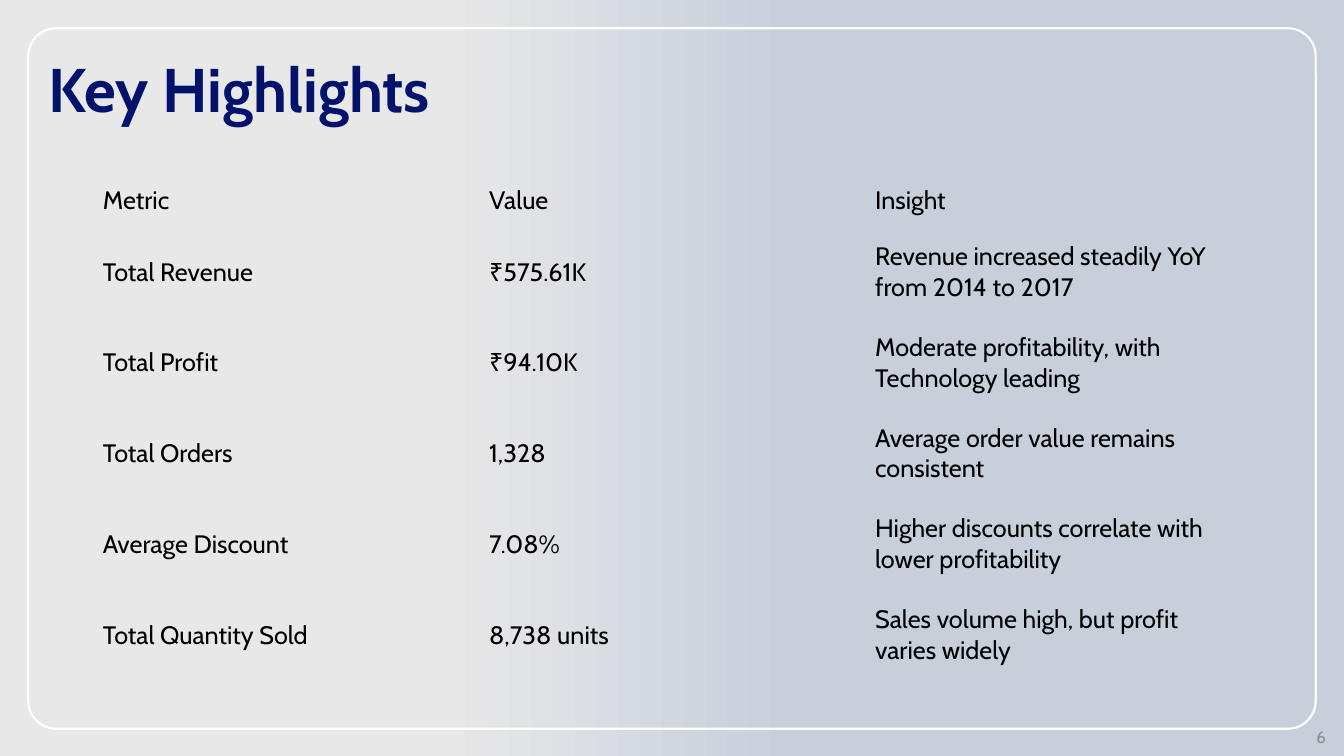
from dataclasses import dataclass

from pptx import Presentation
from pptx import util as u
from pptx.dml.color import RGBColor
from pptx.enum import shapes, text

PX = 9144  # 100 px to the inch
NO_STYLE = "{2D5ABB26-0587-4C30-8999-92F81FD0307C}"


@dataclass(frozen=True)
class Theme:
    font: str = "Cabin"
    bg_stops: tuple = ((0.33, "E8E8E8"), (0.59, "C7CFDB"))
    frame: str = "FFFFFF"
    title: tuple = (44, "03126A", True)
    body: tuple = (18, "000000", False)
    number: tuple = (12, "8C8C8C", False)


THEME = Theme()

METRICS = [
    ("Metric", "Value", "Insight"),
    ("Total Revenue", "₹575.61K", "Revenue increased steadily YoY from 2014 to 2017"),
    ("Total Profit", "₹94.10K", "Moderate profitability, with Technology leading"),
    ("Total Orders", "1,328", "Average order value remains consistent"),
    ("Average Discount", "7.08%", "Higher discounts correlate with lower profitability"),
    ("Total Quantity Sold", "8,738 units", "Sales volume high, but profit varies widely"),
]


def px(*lengths):
    return [u.Emu(n * PX) for n in lengths]


def write(tf, words, style, **para):
    p = tf.paragraphs[0]
    for name, value in para.items():
        setattr(p, name, value)
    r = p.add_run()
    r.text = words
    size, color, bold = style
    for name, value in dict(name=THEME.font, size=u.Pt(size), bold=bold).items():
        setattr(r.font, name, value)
    r.font.color.rgb = RGBColor.from_string(color)


def add_text(s, box, words, style, anchor, **para):
    tf = s.shapes.add_textbox(*px(*box)).text_frame
    for name, value in dict(word_wrap=True, vertical_anchor=anchor).items():
        setattr(tf, name, value)
    write(tf, words, style, **para)


def add_backdrop(s, box):
    # Left-to-right gradient
    fill = s.background.fill
    fill.gradient()
    fill.gradient_angle = 0
    for stop, (position, color) in zip(fill.gradient_stops, THEME.bg_stops):
        stop.position = position
        stop.color.rgb = RGBColor.from_string(color)
    # Rounded frame
    sp = s.shapes.add_shape(shapes.MSO_SHAPE.ROUNDED_RECTANGLE, *px(*box))
    sp.shadow.inherit = False
    sp.adjustments[0] = 0.04
    sp.fill.background()
    sp.line.color.rgb = RGBColor.from_string(THEME.frame)
    sp.line.width = u.Pt(1.5)


def add_metrics(s, box, rows, header_height):
    height = (box[3] - header_height) // (len(rows) - 1)
    table = s.shapes.add_table(len(rows), len(rows[0]), *px(*box)).table
    table._tbl.tblPr.find("{*}tableStyleId").text = NO_STYLE
    table.first_row = table.horz_banding = False
    for col in table.columns:
        col.width = px(box[2] // len(rows[0]))[0]
    for i, row in enumerate(rows):
        table.rows[i].height = px(height if i else header_height)[0]
        for j, words in enumerate(row):
            cell = table.cell(i, j)
            cell.fill.background()
            cell.vertical_anchor = text.MSO_ANCHOR.MIDDLE
            write(cell.text_frame, words, THEME.body)


def highlights_slide(prs):
    s = prs.slides.add_slide(prs.slide_layouts[6])
    add_backdrop(s, (28, 28, 1277, 695))
    # Title
    add_text(s, (38, 40, 1149, 90), "Key Highlights", THEME.title,
             text.MSO_ANCHOR.BOTTOM, line_spacing=0.9)
    # Slide number
    add_text(s, (1025, 718, 300, 25), "6", THEME.number,
             text.MSO_ANCHOR.MIDDLE, alignment=text.PP_ALIGN.RIGHT)
    # Table of metrics
    add_metrics(s, (92, 173, 1150, 503), METRICS, header_height=52)


def main():
    prs = Presentation()
    prs.slide_width, prs.slide_height = px(1333, 750)
    highlights_slide(prs)
    prs.save("out.pptx")


if __name__ == "__main__":
    main()
